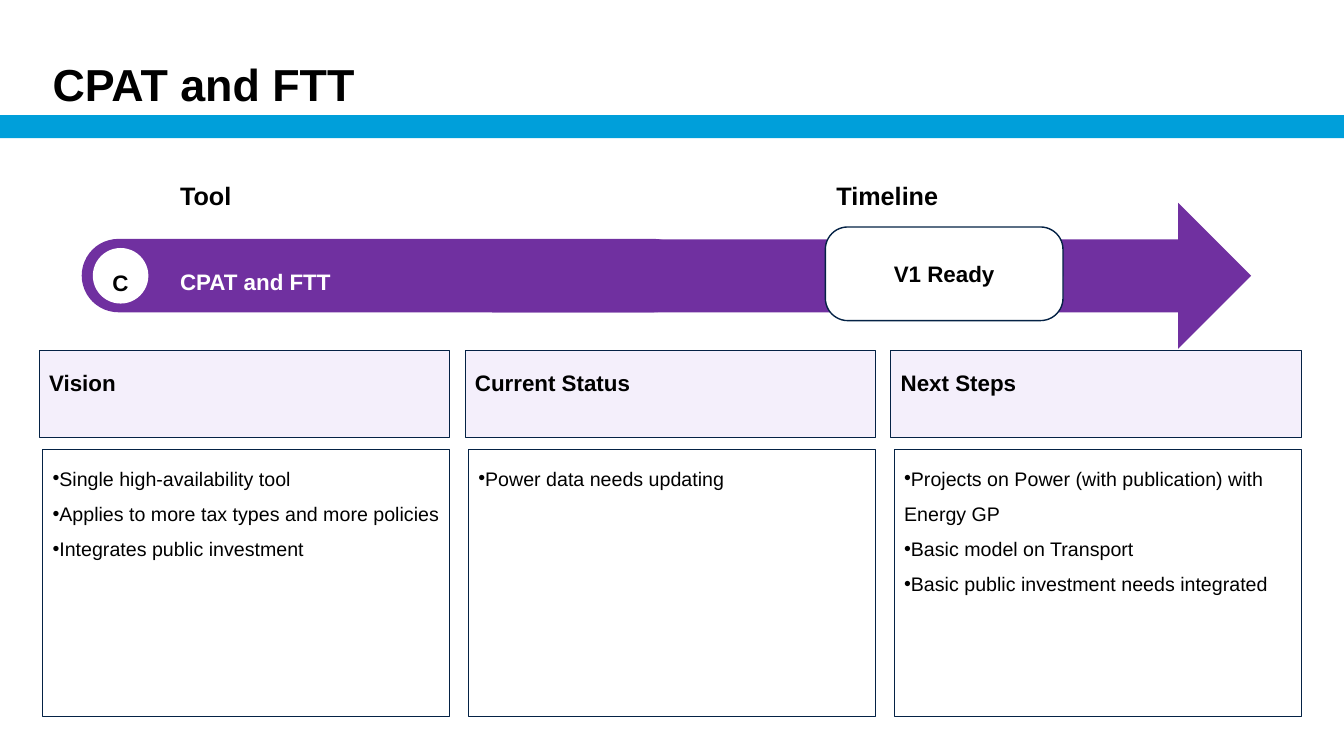
"""Build the CPAT and FTT status slide."""
from lxml.etree import SubElement
from pptx import Presentation
from pptx.dml.color import RGBColor
from pptx.enum.shapes import MSO_SHAPE as Shape
from pptx.enum.text import MSO_ANCHOR as Anchor, MSO_AUTO_SIZE as Auto, PP_ALIGN as Align
from pptx.oxml.ns import qn
from pptx.util import Cm, Pt

HUES = {"blue": "009FDA", "purple": "7030A0", "navy": "042245",
        "lilac": "F4EFFB", "white": "FFFFFF", "black": "000000"}
COLS = [
    ("Vision", ["Single high-availability tool",
                "Applies to more tax types and more policies",
                "Integrates public investment"]),
    ("Current Status", ["Power data needs updating"]),
    ("Next Steps", ["Projects on Power (with publication) with Energy GP",
                    "Basic model on Transport",
                    "Basic public investment needs integrated"]),
]
SLOTS = [1, 2, 4]
STEP = 10.73


class Deck:
    """Hold the style and the current slide."""

    font = "Arial"

    def __init__(self):
        self.prs = Presentation()
        self.prs.slide_width, self.prs.slide_height = Cm(33.87), Cm(19.05)
        self.slide = self.prs.slides.add_slide(self.prs.slide_layouts[4])
        self.slots = {p.placeholder_format.idx: p for p in self.slide.placeholders}

    def hue(self, name):
        return RGBColor.from_string(HUES[name])

    def place(self, item, box):
        item.left, item.top, item.width, item.height = map(Cm, box)

    def edge(self, item, width):
        item.line.color.rgb = self.hue("navy")
        item.line.width = Pt(width)

    def fill_text(self, item, lines, size, bold=True, hue="black", align=Align.LEFT,
                  anchor=Anchor.TOP, gap=1.5, mark=None):
        frame = item.text_frame
        frame.word_wrap = True
        frame.auto_size = Auto.NONE
        frame.vertical_anchor = anchor
        for i, line in enumerate(lines):
            para = frame.add_paragraph() if i else frame.paragraphs[0]
            if mark:
                props = para._p.get_or_add_pPr()
                props.set("marL", "0")
                props.set("indent", "0")
                SubElement(props, qn("a:buChar"), char=mark)
            para.alignment = align
            para.line_spacing = gap
            para.space_before = Pt(0)
            run = para.add_run()
            run.text = line
            font = run.font
            font.name, font.size, font.bold = self.font, Pt(size), bold
            font.color.rgb = self.hue(hue)

    def title(self, text, box):
        item = self.slide.shapes.title
        self.place(item, box)
        self.fill_text(item, [text], 32, anchor=Anchor.BOTTOM, gap=0.9)

    def list(self, slot, lines, box):
        item = self.slots[slot]
        self.place(item, box)
        self.edge(item, 0.75)
        self.fill_text(item, lines, 14, bold=False, mark="•")

    def shape(self, kind, box, fill, line=0, curve=None):
        item = self.slide.shapes.add_shape(kind, *map(Cm, box))
        item.shadow.inherit = False
        item.fill.solid()
        item.fill.fore_color.rgb = self.hue(fill)
        if line:
            self.edge(item, line)
        else:
            item.line.fill.background()
        if curve is not None:
            item.adjustments[0] = curve
        return item

    def label(self, text, box, size, hue="black"):
        item = self.slide.shapes.add_textbox(*map(Cm, box))
        self.fill_text(item, [text], size, hue=hue)

    def drop(self, slot):
        node = self.slots[slot]._element
        node.getparent().remove(node)


def main():
    deck = Deck()
    deck.drop(3)
    deck.title("CPAT and FTT", (1.07, 1.32, 31.7, 1.6))
    deck.shape(Shape.RECTANGLE, (0, 2.9, 33.87, 0.58), "blue")

    deck.shape(Shape.ROUNDED_RECTANGLE, (2.06, 6.02, 15.34, 1.85), "purple", curve=0.5)
    deck.shape(Shape.RIGHT_ARROW, (12.4, 5.11, 19.13, 3.68), "purple")
    ready = deck.shape(Shape.ROUNDED_RECTANGLE, (20.8, 5.72, 5.99, 2.36), "white", 1, 0.24)
    deck.fill_text(ready, ["V1 Ready"], 16, align=Align.CENTER, anchor=Anchor.MIDDLE, gap=1)
    badge = deck.shape(Shape.OVAL, (2.34, 6.25, 1.4, 1.4), "white")
    frame = badge.text_frame
    frame.margin_left = frame.margin_right = frame.margin_top = frame.margin_bottom = 0
    deck.fill_text(badge, ["C"], 16, align=Align.CENTER, anchor=Anchor.MIDDLE)

    deck.label("Tool", (4.29, 4.04, 5.61, 1.47), 18)
    deck.label("Timeline", (20.83, 4.04, 5.61, 1.47), 18)
    deck.label("CPAT and FTT", (4.29, 6.3, 14.45, 1.32), 16, "white")

    for i, (slot, (name, lines)) in enumerate(zip(SLOTS, COLS)):
        head = deck.shape(Shape.RECTANGLE, (0.99 + STEP * i, 8.84, 10.35, 2.18), "lilac", 0.75)
        deck.fill_text(head, [name], 16)
        deck.list(slot, lines, (1.07 + STEP * i, 11.33, 10.27, 6.73))
    deck.prs.save("out.pptx")


if __name__ == "__main__":
    main()
